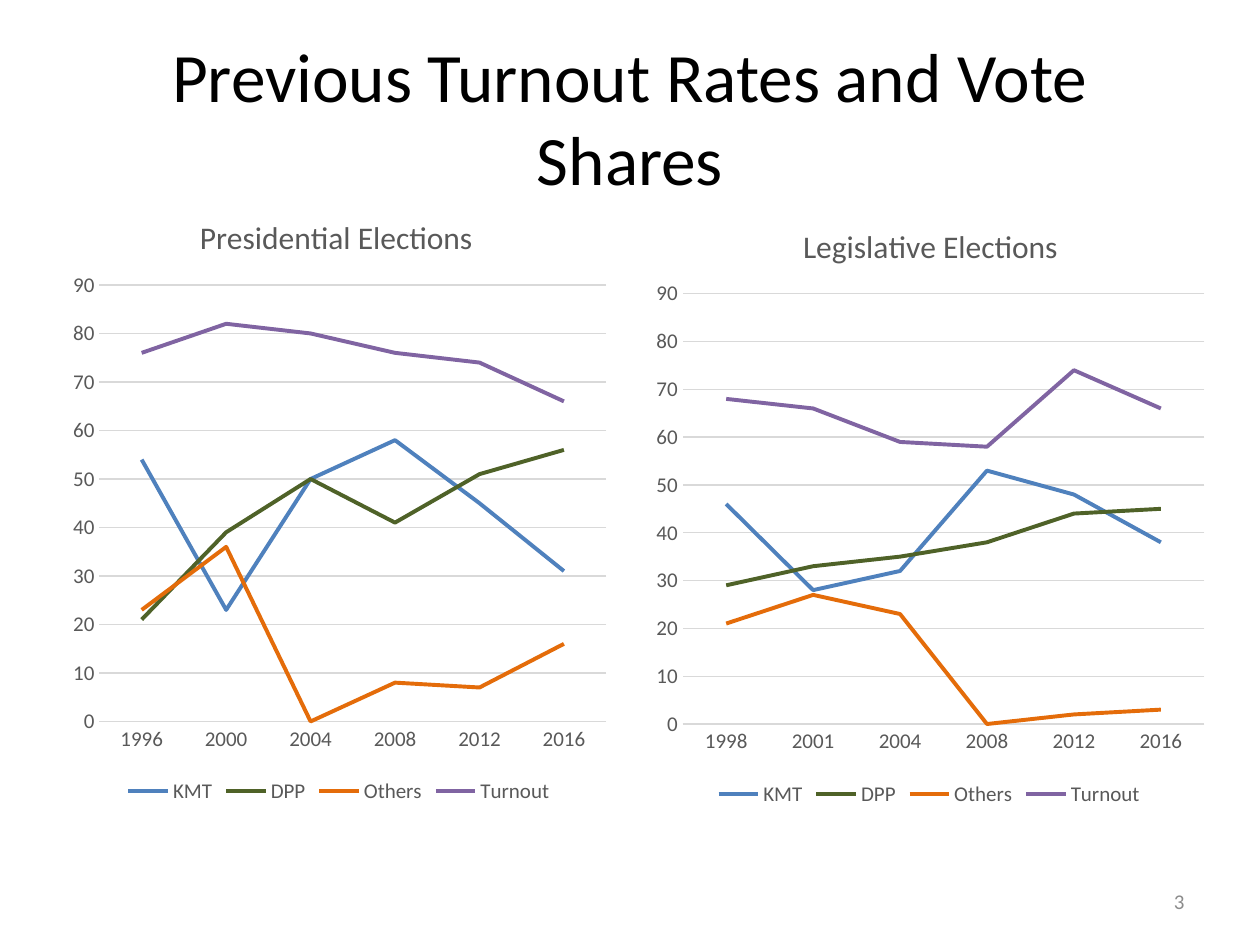
from lxml import etree
from pptx import Presentation
from pptx.chart.data import CategoryChartData
from pptx.dml.color import RGBColor
from pptx.enum import chart as ce, text
from pptx.oxml.ns import qn
from pptx.util import Inches, Pt

BLACK = RGBColor(0x00, 0x00, 0x00)
GREY = RGBColor(0x59, 0x59, 0x59)
GRID = RGBColor(0xD9, 0xD9, 0xD9)
NUMBER = RGBColor(0x8C, 0x8C, 0x8C)
PARTIES = {
    "KMT": RGBColor(0x4F, 0x81, 0xBD),
    "DPP": RGBColor(0x4F, 0x62, 0x28),
    "Others": RGBColor(0xE4, 0x6C, 0x0A),
    "Turnout": RGBColor(0x80, 0x64, 0xA2),
}
ELECTIONS = [
    {
        "title": "Presidential Elections",
        "box": (0.48, 1.47, 4.42, 4.95),
        "title_at": {"x": 0.24, "y": 0.04},
        "plot_at": {"x": 0.07, "y": 0.16, "w": 0.91, "h": 0.7},
        "years": ["1996", "2000", "2004", "2008", "2012", "2016"],
        "values": [
            [54, 23, 50, 58, 45, 31],
            [21, 39, 50, 41, 51, 56],
            [23, 36, 0, 8, 7, 16],
            [76, 82, 80, 76, 74, 66],
        ],
    },
    {
        "title": "Legislative Elections",
        "box": (5.1, 1.49, 4.55, 4.95),
        "title_at": {"x": 0.27, "y": 0.05},
        "plot_at": {"x": 0.07, "y": 0.17, "w": 0.91, "h": 0.69},
        "years": ["1998", "2001", "2004", "2008", "2012", "2016"],
        "values": [
            [46, 28, 32, 53, 48, 38],
            [29, 33, 35, 38, 44, 45],
            [21, 27, 23, 0, 2, 3],
            [68, 66, 59, 58, 74, 66],
        ],
    },
]


def style_font(font, size, color):
    font.name = "Calibri"
    font.size = Pt(size)
    font.bold = False
    font.color.rgb = color


def set_layout(parent, index, place):
    for old in parent.findall(qn("c:layout")):
        parent.remove(old)
    layout = etree.Element(qn("c:layout"))
    manual = etree.SubElement(layout, qn("c:manualLayout"))
    if "w" in place:
        etree.SubElement(manual, qn("c:layoutTarget")).set("val", "inner")
    for key in "xy":
        etree.SubElement(manual, qn(f"c:{key}Mode")).set("val", "edge")
    for key, value in place.items():
        etree.SubElement(manual, qn(f"c:{key}")).set("val", str(value))
    parent.insert(index, layout)


prs = Presentation()
prs.slide_width, prs.slide_height = Inches(10), Inches(7.5)
s = prs.slides.add_slide(prs.slide_layouts[6])

for words, box, size, color, align in [
    ("Previous Turnout Rates and Vote Shares", (0.5, 0.3, 9, 1.25), 39.6, BLACK, text.PP_ALIGN.CENTER),
    ("3", (7.17, 6.95, 2.33, 0.4), 12, NUMBER, text.PP_ALIGN.RIGHT),
]:
    tf = s.shapes.add_textbox(*map(Inches, box)).text_frame
    tf.word_wrap = True
    tf.vertical_anchor = text.MSO_ANCHOR.MIDDLE
    tf.text = words
    p = tf.paragraphs[0]
    p.alignment = align
    style_font(p.runs[0].font, size, color)

for election in ELECTIONS:
    data = CategoryChartData()
    data.categories = election["years"]
    for party, values in zip(PARTIES, election["values"]):
        data.add_series(party, values)
    chart = s.shapes.add_chart(ce.XL_CHART_TYPE.LINE, *map(Inches, election["box"]), data).chart
    style_font(chart.font, 10, BLACK)

    tf = chart.chart_title.text_frame
    tf.text = election["title"]
    style_font(tf.paragraphs[0].runs[0].font, 18, GREY)
    title = chart.element.find(".//" + qn("c:title"))
    set_layout(title, 1, election["title_at"])
    set_layout(chart.element.find(".//" + qn("c:plotArea")), 0, election["plot_at"])

    chart.has_legend = True
    chart.legend.position = ce.XL_LEGEND_POSITION.BOTTOM
    chart.legend.include_in_layout = False
    style_font(chart.legend.font, 12, GREY)

    years, shares = chart.category_axis, chart.value_axis
    for axis in (years, shares):
        axis.major_tick_mark = axis.minor_tick_mark = ce.XL_TICK_MARK.NONE
        style_font(axis.tick_labels.font, 12, GREY)
    shares.minimum_scale, shares.maximum_scale, shares.major_unit = 0, 90, 10
    shares.has_major_gridlines = True
    shares.format.line.fill.background()
    for line in (years.format.line, shares.major_gridlines.format.line):
        line.color.rgb = GRID
        line.width = Pt(0.75)

    plot = chart.plots[0]
    plot.vary_by_categories = False
    for series, color in zip(plot.series, PARTIES.values()):
        series.smooth = False
        series.marker.style = ce.XL_MARKER_STYLE.NONE
        series.format.line.color.rgb = color
        series.format.line.width = Pt(2.25)

prs.save("out.pptx")
